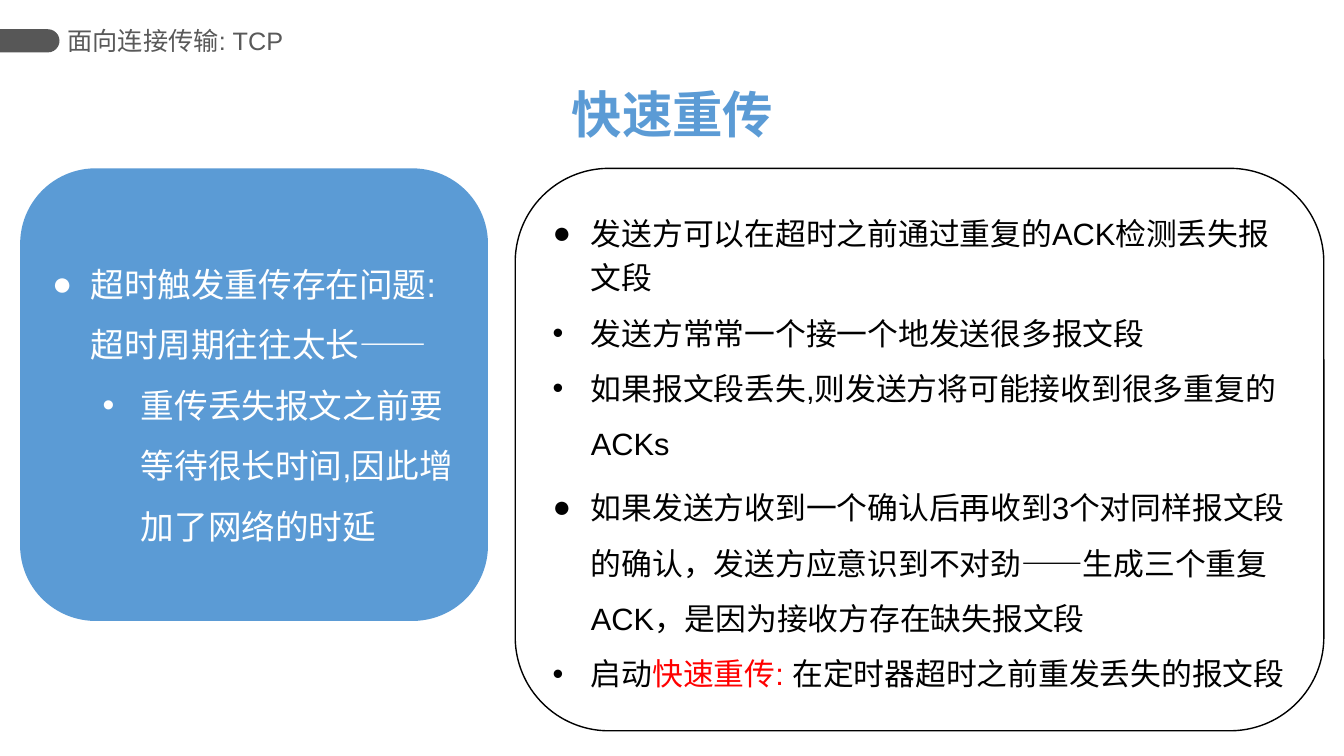
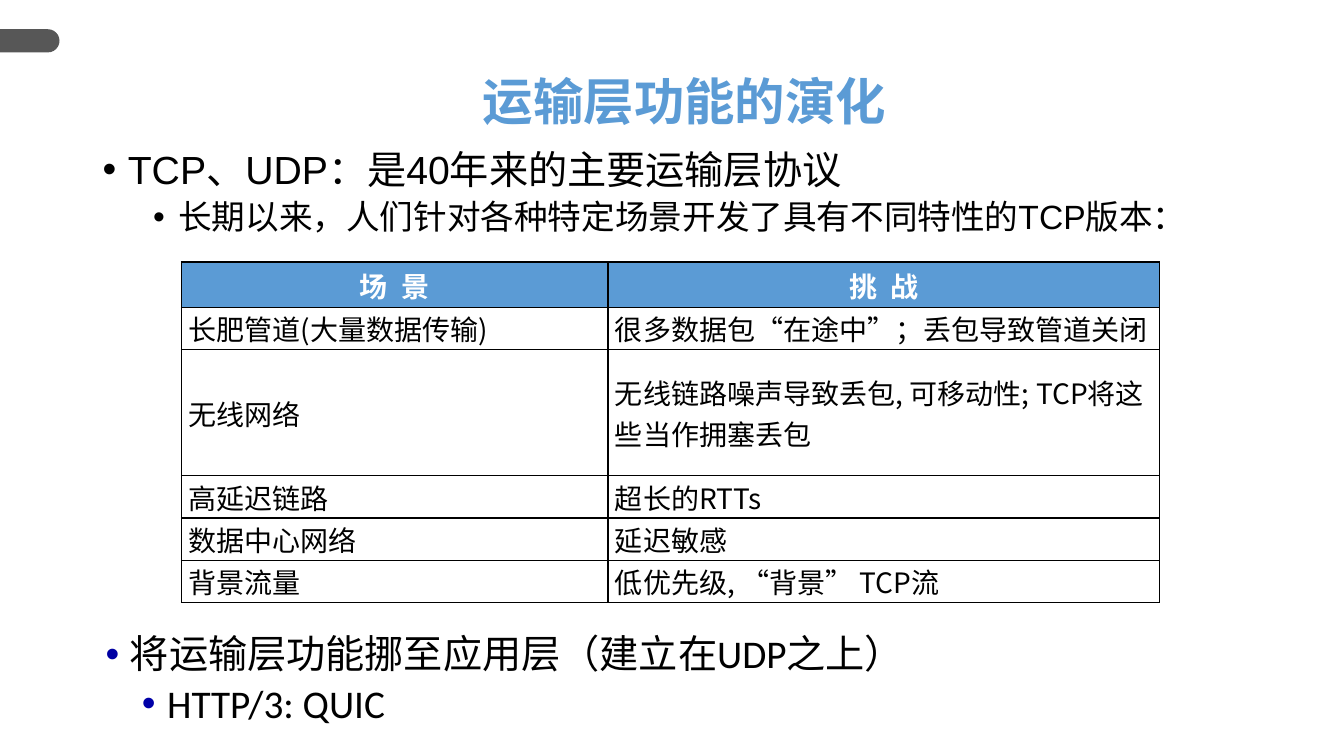
import pptx
import pptx.util
import pptx.dml.color
import pptx.enum.shapes
import pptx.enum.text
import pptx.oxml.ns
from lxml import etree

Inches, Pt = pptx.util.Inches, pptx.util.Pt
SHAPES = pptx.enum.shapes.MSO_SHAPE
ALIGN = pptx.enum.text.PP_ALIGN
ANCHOR = pptx.enum.text.MSO_ANCHOR
qn = pptx.oxml.ns.qn

COLORS = {
    "blue": "5B9BD5", "tab": "575757", "section": "595959", "black": "000000",
    "white": "FFFFFF", "red": "FF0000", "bullet": "0000A3", "sub_bullet": "0000A8",
}
CJK_FONT = "Noto Sans CJK SC"


def rgb(name):
    return pptx.dml.color.RGBColor.from_string(COLORS[name])


class Deck:
    """Holds the style and the slide being built."""

    def __init__(self):
        self.file = pptx.Presentation()
        self.file.slide_width = Inches(13.33)
        self.file.slide_height = Inches(7.5)
        self.slide = None

    # Slide frame: the grey tab at the left edge and the title
    def new_slide(self, title, left, top, width):
        self.slide = self.file.slides.add_slide(self.file.slide_layouts[6])
        tab = self.shape(SHAPES.ROUND_2_SAME_RECTANGLE, 0.18, 0.11, 0.23, 0.59, fill="tab")
        tab.rotation = 90
        tab.adjustments[0] = 0.5
        heading = self.text_box(left, top, width, 0.71)
        self.paragraph(heading, title, 36, "blue", bold=True, align=ALIGN.CENTER)

    def shape(self, kind, left, top, width, height, fill=None, line=None):
        shape = self.slide.shapes.add_shape(
            kind, Inches(left), Inches(top), Inches(width), Inches(height))
        shape.shadow.inherit = False
        if fill:
            shape.fill.solid()
            shape.fill.fore_color.rgb = rgb(fill)
        else:
            shape.fill.background()
        if line:
            shape.line.color.rgb = rgb(line)
            shape.line.width = Pt(1)
        else:
            shape.line.fill.background()
        return shape

    def panel(self, left, top, width, height, **style):
        frame = self.shape(SHAPES.ROUNDED_RECTANGLE, left, top, width, height, **style).text_frame
        frame.word_wrap = True
        frame.vertical_anchor = ANCHOR.MIDDLE
        return frame

    def text_box(self, left, top, width, height):
        frame = self.slide.shapes.add_textbox(
            Inches(left), Inches(top), Inches(width), Inches(height)).text_frame
        frame.word_wrap = True
        return frame

    def section(self, text):
        frame = self.text_box(0.67, 0.19, 2.33, 0.42)
        frame.margin_left = frame.margin_right = 0
        frame.vertical_anchor = ANCHOR.MIDDLE
        self.paragraph(frame, text, 18, "section")

    def paragraph(self, frame, content, size, color="black", font="Arial", bold=False,
                  align=ALIGN.LEFT, level=0, bullet=None, bullet_color=None,
                  margin=0, hang=0, spacing=None, before=0, after=0, tracking=0):
        """Content is a string, or a list of (text, colour) runs."""
        first = frame.paragraphs[0]
        paragraph = frame.add_paragraph() if first.runs else first
        paragraph.alignment = align
        paragraph.level = level
        if bullet:
            self.bullet(paragraph, bullet, bullet_color, margin, hang)
        if spacing:
            paragraph.line_spacing = spacing
        paragraph.space_before = Pt(before)
        paragraph.space_after = Pt(after)
        runs = [(content, color)] if isinstance(content, str) else content
        for text, run_color in runs:
            run = paragraph.add_run()
            run.text = text
            run.font.size = Pt(size)
            run.font.bold = bold
            run.font.color.rgb = rgb(run_color)
            run.font.name = font
            properties = run.font._element
            latin = properties.find(qn("a:latin"))
            east_asian = etree.Element(qn("a:ea"), typeface=CJK_FONT)
            latin.addnext(east_asian)
            if tracking:
                properties.set("spc", str(tracking))

    def bullet(self, paragraph, mark, color, margin, hang):
        properties = paragraph._p.get_or_add_pPr()
        properties.set("marL", str(Inches(margin)))
        properties.set("indent", str(-Inches(hang)))
        if color:
            holder = etree.SubElement(properties, qn("a:buClr"))
            etree.SubElement(holder, qn("a:srgbClr"), val=COLORS[color])
        etree.SubElement(properties, qn("a:buFont"), typeface="Arial")
        etree.SubElement(properties, qn("a:buChar"), char=mark)

    def table(self, left, top, widths, heights, rows):
        table = self.slide.shapes.add_table(
            len(rows), len(widths), Inches(left), Inches(top),
            Inches(sum(widths)), Inches(sum(heights))).table
        table.horz_banding = False
        for column, width in zip(table.columns, widths):
            column.width = Inches(width)
        for row, height in zip(table.rows, heights):
            row.height = Inches(height)
        for r, texts in enumerate(rows):
            for c, text in enumerate(texts):
                self.cell(table.cell(r, c), text, header=r == 0)

    def cell(self, cell, text, header):
        cell.margin_left = cell.margin_right = Inches(0.07)
        cell.margin_top = cell.margin_bottom = 0
        cell.vertical_anchor = ANCHOR.MIDDLE
        properties = cell._tc.get_or_add_tcPr()
        for side in ("lnL", "lnR", "lnT", "lnB"):
            border = etree.SubElement(properties, qn("a:" + side), w=str(Pt(1)))
            fill = etree.SubElement(border, qn("a:solidFill"))
            etree.SubElement(fill, qn("a:srgbClr"), val=COLORS["black"])
        if header:
            cell.fill.solid()
            cell.fill.fore_color.rgb = rgb("blue")
            self.paragraph(cell.text_frame, text, 20, "white", CJK_FONT, bold=True,
                           align=ALIGN.CENTER, tracking=250)
        else:
            cell.fill.background()
            self.paragraph(cell.text_frame, text, 20, font=CJK_FONT)


def fast_retransmit(deck):
    deck.new_slide("快速重传", 5.56, 0.78, 2.22)
    deck.section("面向连接传输: TCP")

    # Mechanism
    mechanism = deck.panel(5.11, 1.67, 8.02, 5.58, line="black")
    steps = [
        ("●", 1.2, 0, "发送方可以在超时之前通过重复的ACK检测丢失报文段"),
        ("•", 1.5, 0, "发送方常常一个接一个地发送很多报文段"),
        ("•", 1.5, 6, "如果报文段丢失,则发送方将可能接收到很多重复的 ACKs"),
        ("●", 1.5, 0, "如果发送方收到一个确认后再收到3个对同样报文段的确认，"
                      "发送方应意识到不对劲——生成三个重复ACK，是因为接收方存在缺失报文段"),
        ("•", 1.5, 0, [("启动", "black"), ("快速重传: ", "red"),
                       ("在定时器超时之前重发丢失的报文段", "black")]),
    ]
    for mark, spacing, after, content in steps:
        deck.paragraph(mechanism, content, 22, bullet=mark, margin=0.38, hang=0.38,
                       spacing=spacing, after=after)

    # Problem
    problem = deck.panel(0.2, 1.67, 4.64, 4.49, fill="blue")
    deck.paragraph(problem, "超时触发重传存在问题:超时周期往往太长——", 24, "white",
                   bullet="●", margin=0.38, hang=0.38, spacing=1.5)
    deck.paragraph(problem, "重传丢失报文之前要等待很长时间,因此增加了网络的时延", 24, "white",
                   level=1, bullet="•", margin=0.88, hang=0.38, spacing=1.5)


def transport_evolution(deck):
    deck.new_slide("运输层功能的演化", 3.29, 0.65, 7)

    # Protocols so far
    history = deck.text_box(0.92, 1.44, 11.5, 1.08)
    deck.paragraph(history, "TCP、UDP：是40年来的主要运输层协议", 28,
                   bullet="•", margin=0.25, hang=0.25, spacing=0.9)
    deck.paragraph(history, "长期以来，人们针对各种特定场景开发了具有不同特性的TCP版本：", 24,
                   level=1, bullet="•", margin=0.75, hang=0.25, spacing=0.9, before=6)

    # Move to the application layer
    future = deck.text_box(0.8, 6.25, 11.5, 1.09)
    deck.paragraph(future, "将运输层功能挪至应用层（建立在UDP之上）", 28, font="Calibri",
                   bullet="•", bullet_color="bullet", margin=0.39, hang=0.24, spacing=0.9)
    deck.paragraph(future, "HTTP/3: QUIC", 28, font="Calibri", level=1, bullet="•",
                   bullet_color="sub_bullet", margin=0.76, hang=0.25, spacing=0.9, before=5)

    # Scenarios and challenges
    deck.table(1.8, 2.6, [4.23, 5.47], [0.45, 0.42, 1.25, 0.42, 0.42, 0.42], [
        ("场 景", "挑 战"),
        ("长肥管道(大量数据传输)", "很多数据包“在途中”；丢包导致管道关闭"),
        ("无线网络", "无线链路噪声导致丢包, 可移动性; TCP将这些当作拥塞丢包"),
        ("高延迟链路", "超长的RTTs"),
        ("数据中心网络", "延迟敏感"),
        ("背景流量", "低优先级, “背景” TCP流"),
    ])


def main():
    deck = Deck()
    fast_retransmit(deck)
    transport_evolution(deck)
    deck.file.save("out.pptx")


if __name__ == "__main__":
    main()
